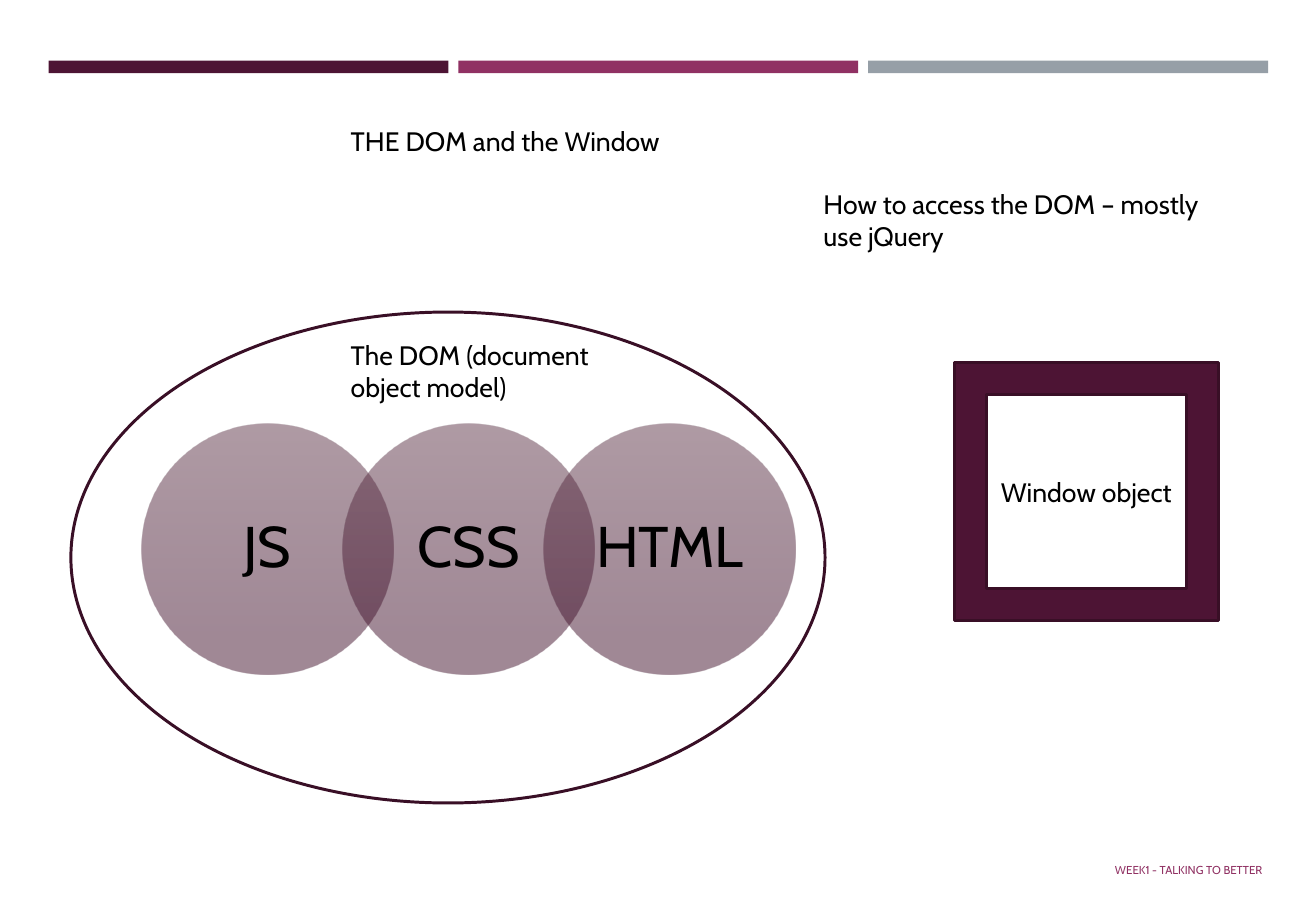
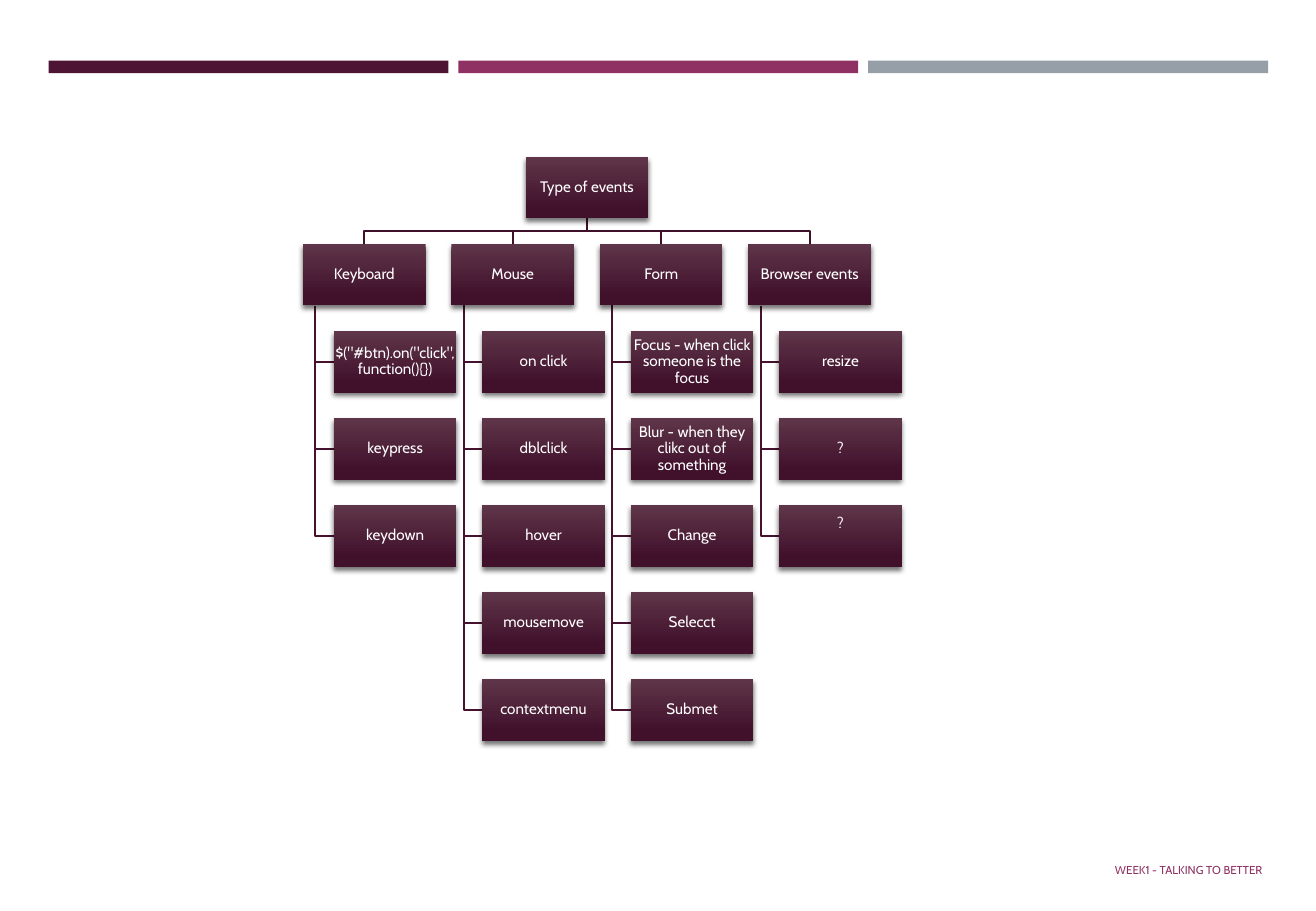
from pptx import Presentation
from pptx.dml.color import RGBColor
from pptx.enum.shapes import MSO_SHAPE
from pptx.enum.text import MSO_ANCHOR, PP_ALIGN
from pptx.oxml.ns import qn
from pptx.util import Pt
from lxml.etree import SubElement

FONT = "Cabin"
PLUM, MAGENTA, GREY = "4D1434", "903163", "969FA7"
BLACK, WHITE, OUTLINE = "000000", "FFFFFF", "390F26"
GRADIENT = [(0, "5F3649"), (0.84, "41112C")]
TRUNK_LINE, BRANCH_LINE = "3E102A", "46122F"

FOOTER = "WEEK1 - TALKING TO BETTER"
LABELS = [
    ("THE DOM and the Window", 200.8, 70.6, 202.4, 26.6),
    ("The DOM (document object model)", 200.8, 197.3, 169.2, 45.4),
    ("How to access the DOM – mostly use jQuery", 481, 108, 252.7, 45.4),
]
LANGUAGES = ["JS", "CSS", "HTML"]
EVENT_ROOT = "Type of events"
EVENTS = {
    "Keyboard": ['$("#btn).on("click", function(){})', "keypress", "keydown"],
    "Mouse": ["on click", "dblclick", "hover", "mousemove", "contextmenu"],
    "Form": [
        "Focus - when click someone is the focus",
        "Blur - when they clikc out of something",
        "Change", "Selecct", "Submet",
    ],
    "Browser events": ["resize", "?", "?"],
}

CARD_WIDTH, CARD_HEIGHT = 72.8, 36.5
CHART_LEFT, CHART_TOP = 179.5, 93
COLUMN_STEP, ROW_STEP = 88, 51.6
CHILD_INDENT, STEM_INDENT = 18.3, 7.4


def color(value):
    return RGBColor.from_string(value)


def write(shape, text, size=15.8, ink=BLACK, align=PP_ALIGN.LEFT,
          anchor=MSO_ANCHOR.TOP, insets=(7.2, 3.6, 7.2, 3.6), spacing=1.0):
    """Put text in a shape; insets are left, top, right, bottom."""
    frame = shape.text_frame
    frame.word_wrap = True
    frame.vertical_anchor = anchor
    (frame.margin_left, frame.margin_top,
     frame.margin_right, frame.margin_bottom) = map(Pt, insets)
    paragraph = frame.paragraphs[0]
    paragraph.alignment = align
    paragraph.line_spacing = spacing
    run = paragraph.add_run()
    run.text = text
    run.font.name = FONT
    run.font.size = Pt(size)
    run.font.color.rgb = color(ink)


def add_text(slide, text, left, top, width, height, **text_format):
    box = slide.shapes.add_textbox(Pt(left), Pt(top), Pt(width), Pt(height))
    write(box, text, **text_format)


def style_line(shape, line, weight):
    if line:
        shape.line.color.rgb = color(line)
        shape.line.width = Pt(weight)
    else:
        shape.line.fill.background()


def add_shape(slide, kind, left, top, width, height, fill=None, line=None):
    shape = slide.shapes.add_shape(kind, Pt(left), Pt(top), Pt(width), Pt(height))
    shape.shadow.inherit = False
    if fill:
        shape.fill.solid()
        shape.fill.fore_color.rgb = color(fill)
    else:
        shape.fill.background()
    style_line(shape, line, 1.75)
    return shape


def fill_gradient(shape, alpha=None):
    """Fill from top to bottom; alpha is the opacity in percent."""
    shape.fill.gradient()
    shape.fill.gradient_angle = 270
    for stop, (position, value) in zip(shape.fill.gradient_stops, GRADIENT):
        stop.position = position
        stop.color.rgb = color(value)
    if alpha:
        for node in shape.element.spPr.iter(qn("a:srgbClr")):
            SubElement(node, qn("a:alpha"), val=str(alpha * 1000))


def add_drop_shadow(shape):
    effects = shape.element.spPr.find(qn("a:effectLst"))
    shadow = SubElement(effects, qn("a:outerShdw"), blurRad=str(Pt(3)),
                        dist=str(Pt(2)), dir="5400000", rotWithShape="0")
    shade = SubElement(shadow, qn("a:srgbClr"), val=BLACK)
    SubElement(shade, qn("a:alpha"), val="55000")


def add_polyline(slide, points, line):
    start, *rest = [(Pt(x), Pt(y)) for x, y in points]
    builder = slide.shapes.build_freeform(*start)
    builder.add_line_segments(rest, close=False)
    shape = builder.convert_to_shape()
    shape.shadow.inherit = False
    shape.fill.background()
    style_line(shape, line, 1)


def add_base_slide(presentation):
    """Add a blank slide with the three bands and the footer."""
    slide = presentation.slides.add_slide(presentation.slide_layouts[6])
    for index, fill in enumerate([PLUM, MAGENTA, GREY]):
        add_shape(slide, MSO_SHAPE.RECTANGLE, 28.8 + index * 242.9, 36, 237, 7.4, fill)
    add_text(slide, FOOTER, 653.8, 504, 113, 23, size=6.8, ink=MAGENTA,
             anchor=MSO_ANCHOR.MIDDLE)
    return slide


def build_dom_slide(presentation):
    slide = add_base_slide(presentation)
    diameter = 149
    for index, language in enumerate(LANGUAGES):
        circle = add_shape(slide, MSO_SHAPE.OVAL, 84 + index * diameter * 0.8, 251,
                           diameter, diameter)
        fill_gradient(circle, alpha=50)
        write(circle, language, size=34, align=PP_ALIGN.CENTER,
              anchor=MSO_ANCHOR.MIDDLE, spacing=0.9)
    add_shape(slide, MSO_SHAPE.OVAL, 42, 185, 447, 291, line=OUTLINE)
    window = add_shape(slide, MSO_SHAPE.FRAME, 565.6, 215, 156.8, 153, PLUM, OUTLINE)
    write(window, "Window object", align=PP_ALIGN.CENTER,
          anchor=MSO_ANCHOR.MIDDLE, insets=(0, 0, 0, 0))
    for label in LABELS:
        add_text(slide, *label)


def add_card(slide, text, left, top, lift=0):
    """Add one event card; lift moves its text up."""
    card = add_shape(slide, MSO_SHAPE.RECTANGLE, left, top, CARD_WIDTH, CARD_HEIGHT)
    fill_gradient(card)
    add_drop_shadow(card)
    write(card, text, size=9, ink=WHITE, align=PP_ALIGN.CENTER,
          anchor=MSO_ANCHOR.MIDDLE, insets=(0.5, 0.5, 0.5, 0.5 + 2 * lift), spacing=0.9)


def build_events_slide(presentation):
    slide = add_base_slide(presentation)
    root_left = CHART_LEFT + COLUMN_STEP * (len(EVENTS) - 1) / 2
    root_center = root_left + CARD_WIDTH / 2
    root_bottom = CHART_TOP + CARD_HEIGHT
    head_top = CHART_TOP + ROW_STEP
    trunk_y = (root_bottom + head_top) / 2
    cards = [(EVENT_ROOT, root_left, CHART_TOP)]

    for column, (head, children) in enumerate(EVENTS.items()):
        left = CHART_LEFT + column * COLUMN_STEP
        center, stem = left + CARD_WIDTH / 2, left + STEM_INDENT
        child_left = left + CHILD_INDENT
        cards.append((head, left, head_top))
        add_polyline(slide, [(root_center, root_bottom), (root_center, trunk_y),
                             (center, trunk_y), (center, head_top)], TRUNK_LINE)
        for row, child in enumerate(children, start=1):
            top = head_top + row * ROW_STEP
            middle = top + CARD_HEIGHT / 2
            cards.append((child, child_left, top))
            add_polyline(slide, [(stem, head_top + CARD_HEIGHT), (stem, middle),
                                 (child_left, middle)], BRANCH_LINE)

    *centered_cards, last_card = cards
    for card in centered_cards:
        add_card(slide, *card)
    add_card(slide, *last_card, lift=7)


def main():
    presentation = Presentation()
    presentation.slide_width, presentation.slide_height = Pt(780), Pt(540)
    build_dom_slide(presentation)
    build_events_slide(presentation)
    presentation.save("out.pptx")


if __name__ == "__main__":
    main()
